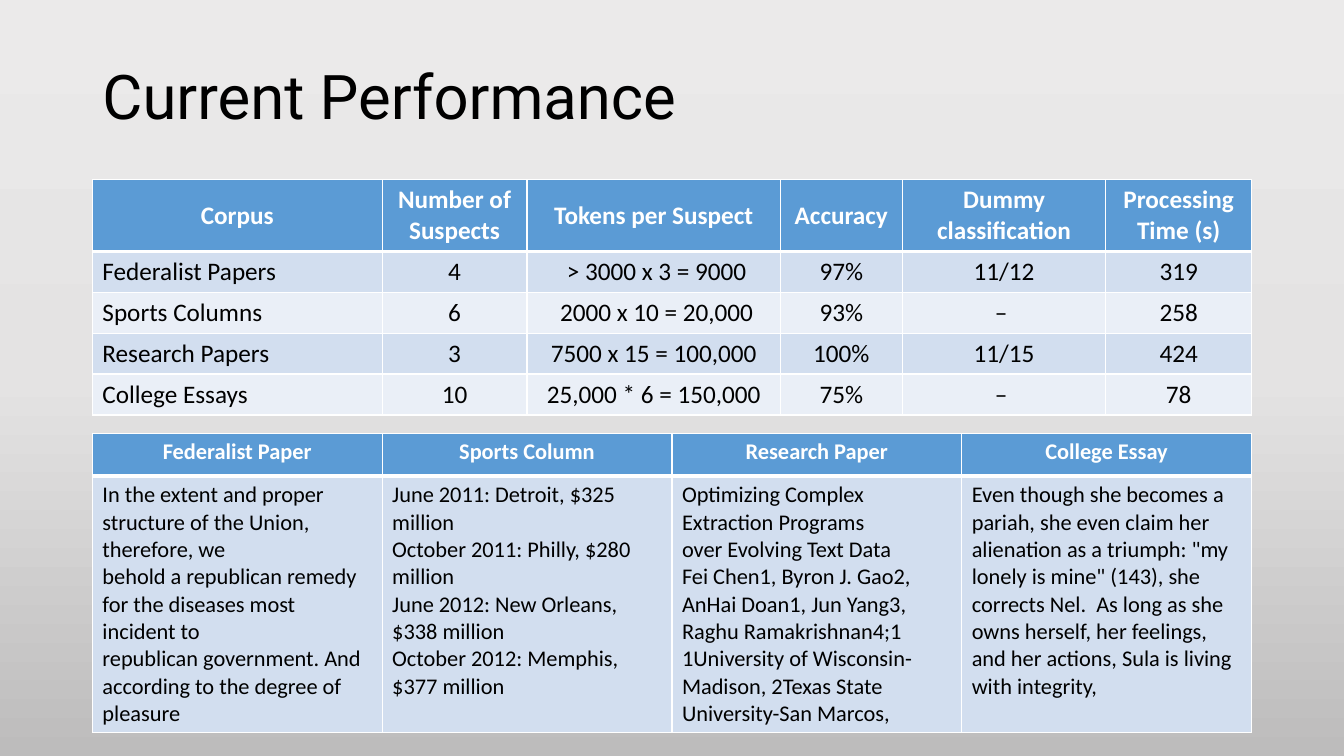
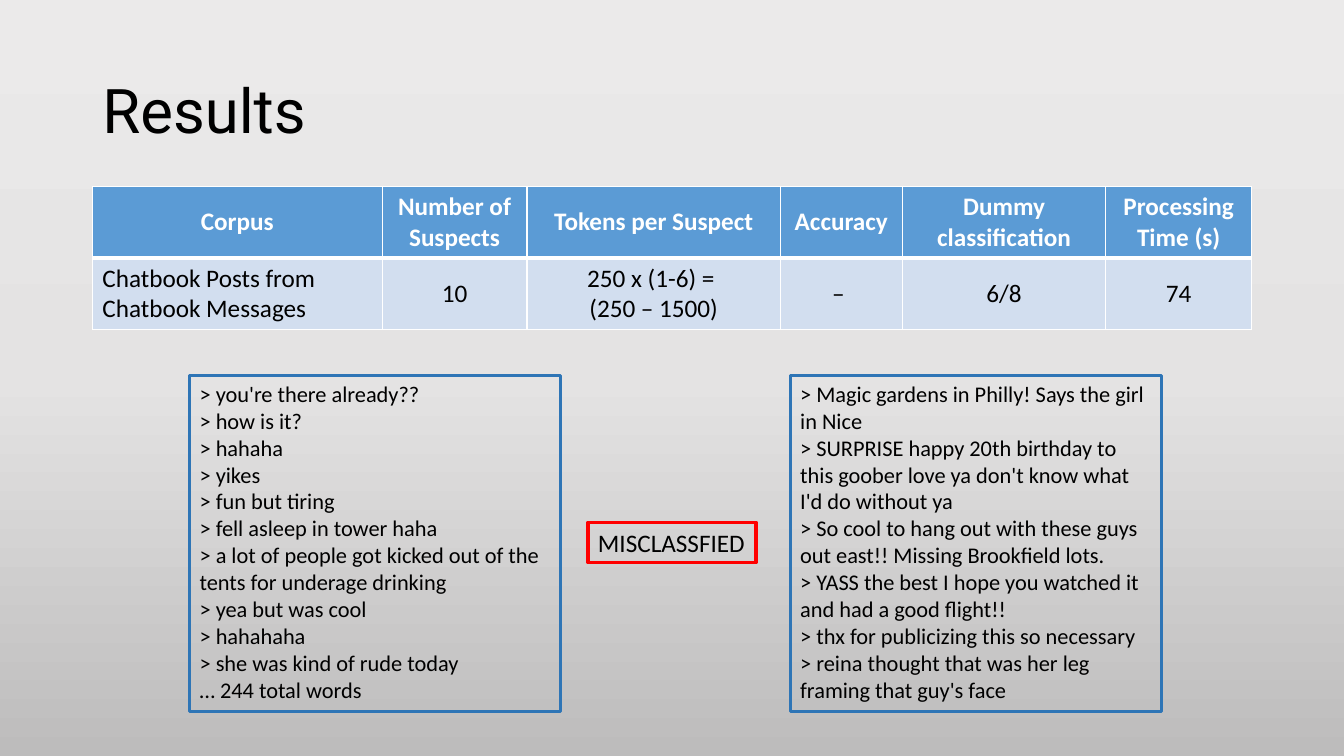
"""Build two slides on authorship results: corpus performance and a misclassified case."""
from copy import deepcopy
from dataclasses import dataclass

from lxml.etree import SubElement
from pptx import Presentation
from pptx.dml.color import RGBColor as Color
from pptx.enum.shapes import MSO_SHAPE as Shape
from pptx.enum.text import MSO_ANCHOR as Anchor, MSO_AUTO_SIZE as AutoSize, PP_ALIGN as Align
from pptx.oxml.ns import qn
from pptx.util import Pt

CORPUS_HEADER = ["Corpus", "Number of Suspects", "Tokens per Suspect", "Accuracy",
                 "Dummy classification", "Processing Time (s)"]
PERFORMANCE = [
    CORPUS_HEADER,
    ["Federalist Papers", "4", " > 3000 x 3 = 9000", "97%", "11/12", "319"],
    ["Sports Columns", "6", " 2000 x 10 = 20,000", "93%", "– ", "258"],
    ["Research Papers", "3", "7500 x 15 = 100,000", "100%", "11/15", "424"],
    ["College Essays", "10", "25,000 * 6 = 150,000", "75%", "– ", "78"],
]
SAMPLES = [
    ["Federalist Paper", "Sports Column", "Research Paper", "College Essay"],
    [
        "In the extent and proper structure of the Union, therefore, we\n"
        "behold a republican remedy for the diseases most incident to\n"
        "republican government. And according to the degree of pleasure ",
        "June 2011: Detroit, $325 million\n"
        "October 2011: Philly, $280 million\n"
        "June 2012: New Orleans, $338 million\n"
        "October 2012: Memphis, $377 million",
        "Optimizing Complex Extraction Programs \n"
        "over Evolving Text Data \n"
        "Fei Chen1, Byron J. Gao2, AnHai Doan1, Jun Yang3, Raghu Ramakrishnan4;1 \n"
        "1University of Wisconsin-Madison, 2Texas State University-San Marcos,",
        "Even though she becomes a pariah, she even claim her alienation as a triumph: "
        "\"my lonely is mine\" (143), she corrects Nel.  As long as she owns herself, "
        "her feelings, and her actions, Sula is living with integrity, ",
    ],
]
RESULTS = [
    CORPUS_HEADER,
    ["Chatbook Posts from Chatbook Messages", "10", "250 x (1-6) = \n(250 – 1500)",
     "– ", "6/8", "74"],
]
MESSAGES = "\n".join([
    "> you're there already??", "> how is it?", "> hahaha", "> yikes", "> fun but tiring",
    "> fell asleep in tower haha",
    "> a lot of people got kicked out of the tents for underage drinking",
    "> yea but was cool", "> hahahaha", "> she was kind of rude today", "… 244 total words",
])
POSTS = "\n".join([
    "> Magic gardens in Philly! Says the girl in Nice",
    "> SURPRISE happy 20th birthday to this goober love ya don't know what I'd do without ya",
    "> So cool to hang out with these guys out east!! Missing Brookfield lots.",
    "> YASS the best I hope you watched it and had a good flight!!",
    "> thx for publicizing this so necessary",
    "> reina thought that was her leg framing that guy's face",
])
VERDICT = "MISCLASSFIED"


@dataclass(frozen=True)
class Theme:
    """Colours, fonts and type sizes shared by the slides."""
    background: tuple = ((0, "EBEAEA"), (0.5, "E4E3E3"), (1, "BDBCBC"))
    header: str = "5B9BD5"
    bands: tuple = ("D2DEEF", "EAEFF7")
    white: str = "FFFFFF"
    ink: str = "000000"
    frame: str = "2E75B6"
    alert: str = "FF0000"
    title_font: str = "Roboto"
    body_font: str = "Calibri"
    title_size: int = 44
    large: int = 18
    small: int = 16
    rule: int = 1
    header_rule: int = 3
    outline: float = 2.25


THEME = Theme()
WIDTH, HEIGHT = 960, 540
MARGIN = 66
CONTENT_WIDTH = WIDTH - 2 * MARGIN
TITLE_HEIGHT = 104.4
CORPUS_COLUMNS = [207, 103.5, 181, 87, 145.5, 104]
SAMPLE_COLUMNS = [CONTENT_WIDTH / 4] * 4
HEADER_HEIGHT, ROW_HEIGHT = 50.6, 29.2
BOX_TOP, BOX_WIDTH, BOX_HEIGHT = 268, 265, 240
BOX_OFFSET = 214.5
VERDICT_WIDTH, VERDICT_HEIGHT = 120, 29


def apply(target, formats):
    """Set every attribute named in formats."""
    for name, value in formats.items():
        setattr(target, name, value)


def write(frame, text, size, color=THEME.ink, font=THEME.body_font, bold=False,
          align=Align.LEFT, spacing=1.0):
    """Fill a text frame, one paragraph per line, in a single format."""
    frame.text = text
    for paragraph in frame.paragraphs:
        apply(paragraph, {"alignment": align, "line_spacing": spacing})
        for run in paragraph.runs:
            apply(run.font, {"name": font, "size": Pt(size), "bold": bold})
            run.font.color.rgb = Color.from_string(color)


def paint_background(master):
    """Give the master a vertical three-stop gradient."""
    fill = master.background.fill
    fill.gradient()
    fill.gradient_angle = 270
    stops = master.element.find(".//" + qn("a:gsLst"))
    stops.append(deepcopy(stops[-1]))
    for stop, (position, color) in zip(fill.gradient_stops, THEME.background):
        stop.position = position
        stop.color.rgb = Color.from_string(color)


def add_titled_slide(presentation, text, top):
    """Add a title-only slide and format its title."""
    slide = presentation.slides.add_slide(presentation.slide_layouts[5])
    title = slide.shapes.title
    apply(title, {"left": Pt(MARGIN), "top": Pt(top),
                  "width": Pt(CONTENT_WIDTH), "height": Pt(TITLE_HEIGHT)})
    apply(title.text_frame, {"vertical_anchor": Anchor.MIDDLE, "auto_size": AutoSize.NONE,
                             "word_wrap": True})
    write(title.text_frame, text, THEME.title_size, font=THEME.title_font, spacing=0.9)
    return slide


def set_borders(cell, top, bottom):
    """Draw white borders around a cell."""
    properties = cell._tc.get_or_add_tcPr()
    widths = {"a:lnL": THEME.rule, "a:lnR": THEME.rule, "a:lnT": top, "a:lnB": bottom}
    for index, (tag, width) in enumerate(widths.items()):
        line = SubElement(properties, qn(tag), w=str(Pt(width)))
        SubElement(SubElement(line, qn("a:solidFill")), qn("a:srgbClr"), val=THEME.white)
        properties.insert(index, line)


def add_grid(slide, rows, top, columns, heights, size, anchor, body_align):
    """Add a table with a header row and banded body rows."""
    table = slide.shapes.add_table(len(rows), len(columns), Pt(MARGIN), Pt(top),
                                   Pt(sum(columns)), Pt(sum(heights))).table
    for column, width in zip(table.columns, columns):
        column.width = Pt(width)
    for row, height in zip(table.rows, heights):
        row.height = Pt(height)
    for row_index, row in enumerate(rows):
        is_header = row_index == 0
        fill = THEME.header if is_header else THEME.bands[(row_index - 1) % 2]
        for column_index, text in enumerate(row):
            cell = table.cell(row_index, column_index)
            cell.vertical_anchor = anchor
            cell.fill.solid()
            cell.fill.fore_color.rgb = Color.from_string(fill)
            centred = is_header or (column_index > 0 and body_align == Align.CENTER)
            write(cell.text_frame, text, size, THEME.white if is_header else THEME.ink,
                  bold=is_header, align=Align.CENTER if centred else Align.LEFT)
            set_borders(cell, THEME.header_rule if row_index == 1 else THEME.rule,
                        THEME.header_rule if is_header else THEME.rule)


def add_corpus_table(slide, rows, top, body_height):
    """Add a table of corpus measurements."""
    heights = [HEADER_HEIGHT] + [body_height] * (len(rows) - 1)
    add_grid(slide, rows, top, CORPUS_COLUMNS, heights, THEME.large, Anchor.MIDDLE, Align.CENTER)


def add_box(slide, text, left, top, width, height, color, size, wrap=True):
    """Add an outlined text box without fill."""
    box = slide.shapes.add_shape(Shape.RECTANGLE, Pt(left), Pt(top), Pt(width), Pt(height))
    box.shadow.inherit = False
    box.fill.background()
    box.line.color.rgb = Color.from_string(color)
    box.line.width = Pt(THEME.outline)
    apply(box.text_frame, {"word_wrap": wrap, "vertical_anchor": Anchor.TOP})
    write(box.text_frame, text, size)


def build():
    """Build and save the presentation."""
    presentation = Presentation()
    apply(presentation, {"slide_width": Pt(WIDTH), "slide_height": Pt(HEIGHT)})
    paint_background(presentation.slide_master)

    performance = add_titled_slide(presentation, "Current Performance", 19.2)
    add_corpus_table(performance, PERFORMANCE, 128.4, ROW_HEIGHT)
    add_grid(performance, SAMPLES, 309.4, SAMPLE_COLUMNS, [30.8, 180], THEME.small,
             Anchor.TOP, Align.LEFT)

    results = add_titled_slide(presentation, "Results", 28.75)
    add_corpus_table(results, RESULTS, 133.15, HEADER_HEIGHT)
    centre = (WIDTH + 5) / 2
    for text, side in ((MESSAGES, -1), (POSTS, 1)):
        add_box(results, text, centre + side * BOX_OFFSET - BOX_WIDTH / 2, BOX_TOP,
                BOX_WIDTH, BOX_HEIGHT, THEME.frame, THEME.small)
    add_box(results, VERDICT, (WIDTH - VERDICT_WIDTH) / 2, 373, VERDICT_WIDTH, VERDICT_HEIGHT,
            THEME.alert, THEME.large, wrap=False)

    presentation.save("out.pptx")


build()
